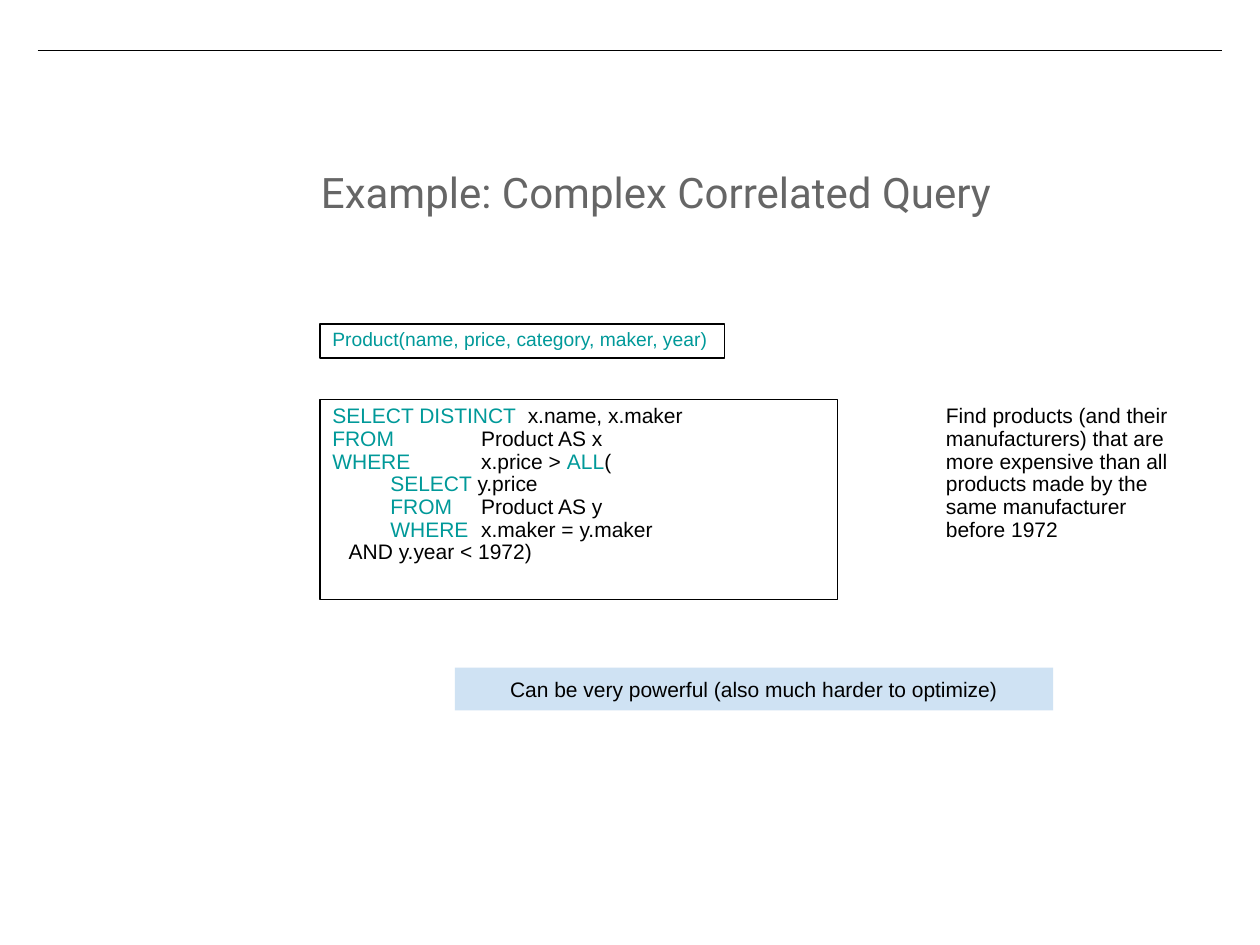
"""Build a slide that explains a complex correlated SQL query."""
from itertools import cycle

from lxml.etree import SubElement as Sub
from pptx import Presentation as Deck
from pptx.dml.color import RGBColor as RGB
from pptx.enum.shapes import MSO_CONNECTOR as LINK, MSO_SHAPE as SHAPE
from pptx.enum.text import MSO_ANCHOR as ANCHOR, MSO_AUTO_SIZE as AUTO, PP_ALIGN as ALIGN
from pptx.oxml.ns import qn
from pptx.util import Cm, Pt

BLACK = RGB(0x00, 0x00, 0x00)
WHITE = RGB(0xFF, 0xFF, 0xFF)
GRAY = RGB(0x66, 0x66, 0x66)
TEAL = RGB(0x00, 0x99, 0x99)
BLUE = RGB(0xCF, 0xE2, 0xF3)


def write(para, text, size=12, font="Arial", color=BLACK, align=ALIGN.LEFT, space=0.9):
    para.alignment = align
    para.line_spacing = space
    run = para.add_run()
    run.text = text
    run.font.size = Pt(size)
    run.font.name = font
    run.font.color.rgb = color


def frame(box, inset=0.13, anchor=ANCHOR.TOP):
    text = box.text_frame
    text.word_wrap = True
    text.auto_size = AUTO.NONE
    text.vertical_anchor = anchor
    text.margin_left = text.margin_right = Cm(0.25)
    text.margin_top = text.margin_bottom = Cm(inset)
    return text


deck = Deck()
deck.slide_width, deck.slide_height = Cm(25.4), Cm(19.05)
slide = deck.slides.add_slide(deck.slide_layouts[5])
shapes = slide.shapes

rule = shapes.add_connector(LINK.STRAIGHT, Cm(0.76), Cm(1.02), Cm(24.64), Cm(1.02))
rule.line.color.rgb = BLACK
rule.line.width = Pt(0.75)
Sub(rule._element.spPr, qn("a:effectLst"))

title = shapes.title
title.left, title.top, title.width, title.height = Cm(6.22), Cm(3.1), Cm(18.36), Cm(2.01)
head = frame(title, inset=0.25).paragraphs[0]
write(head, "Example: Complex Correlated Query", size=24, font="Roboto", color=GRAY, space=1.0)

boxes = []
for left, top, width, height, fill, edge in [
    (6.45, 8.05, 10.44, 4.04, WHITE, BLACK),
    (6.45, 6.53, 8.15, 0.69, WHITE, BLACK),
    (9.17, 13.46, 12.06, 0.86, BLUE, None),
]:
    box = shapes.add_shape(SHAPE.RECTANGLE, Cm(left), Cm(top), Cm(width), Cm(height))
    box.shadow.inherit = False
    box.fill.solid()
    box.fill.fore_color.rgb = fill
    if edge is None:
        box.line.fill.background()
    else:
        box.line.color.rgb = edge
        box.line.width = Pt(0.75)
    boxes.append(box)
query, schema, note = boxes

lines = [
    [("SELECT DISTINCT\t", "x.name, x.maker"), 0],
    [("FROM\t", "Product AS x"), 0],
    [("WHERE\t", "x.price > ", "ALL", "("), 0],
    [("\tSELECT ", "y.price"), 0],
    [("\tFROM\t", "Product AS y"), 0],
    [("\tWHERE\t", "x.maker = y.maker"), 0],
    [("", "AND y.year < 1972)"), 0.33],
]
body = frame(query)
for row, (parts, indent) in enumerate(lines):
    para = body.add_paragraph() if row else body.paragraphs[0]
    for part, color in zip(parts, cycle([TEAL, BLACK])):
        if part:
            write(para, part, color=color)
    props = para._p.get_or_add_pPr()
    props.set("marL", str(Cm(indent)))
    tabs = Sub(props, qn("a:tabLst"))
    for stop in (1.17, 3.0, 3.94):
        Sub(tabs, qn("a:tab"), pos=str(Cm(stop)), algn="l")

goal = shapes.add_textbox(Cm(18.82), Cm(8.05), Cm(5.33), Cm(4.14))
write(frame(goal).paragraphs[0],
      "Find products (and their manufacturers) that are more expensive than all "
      "products made by the same manufacturer before 1972")
write(frame(schema).paragraphs[0], "Product(name, price, category, maker, year)",
      size=11, color=TEAL)
write(frame(note, anchor=ANCHOR.MIDDLE).paragraphs[0],
      "Can be very powerful (also much harder to optimize)", align=ALIGN.CENTER, space=1.0)

deck.save("out.pptx")
